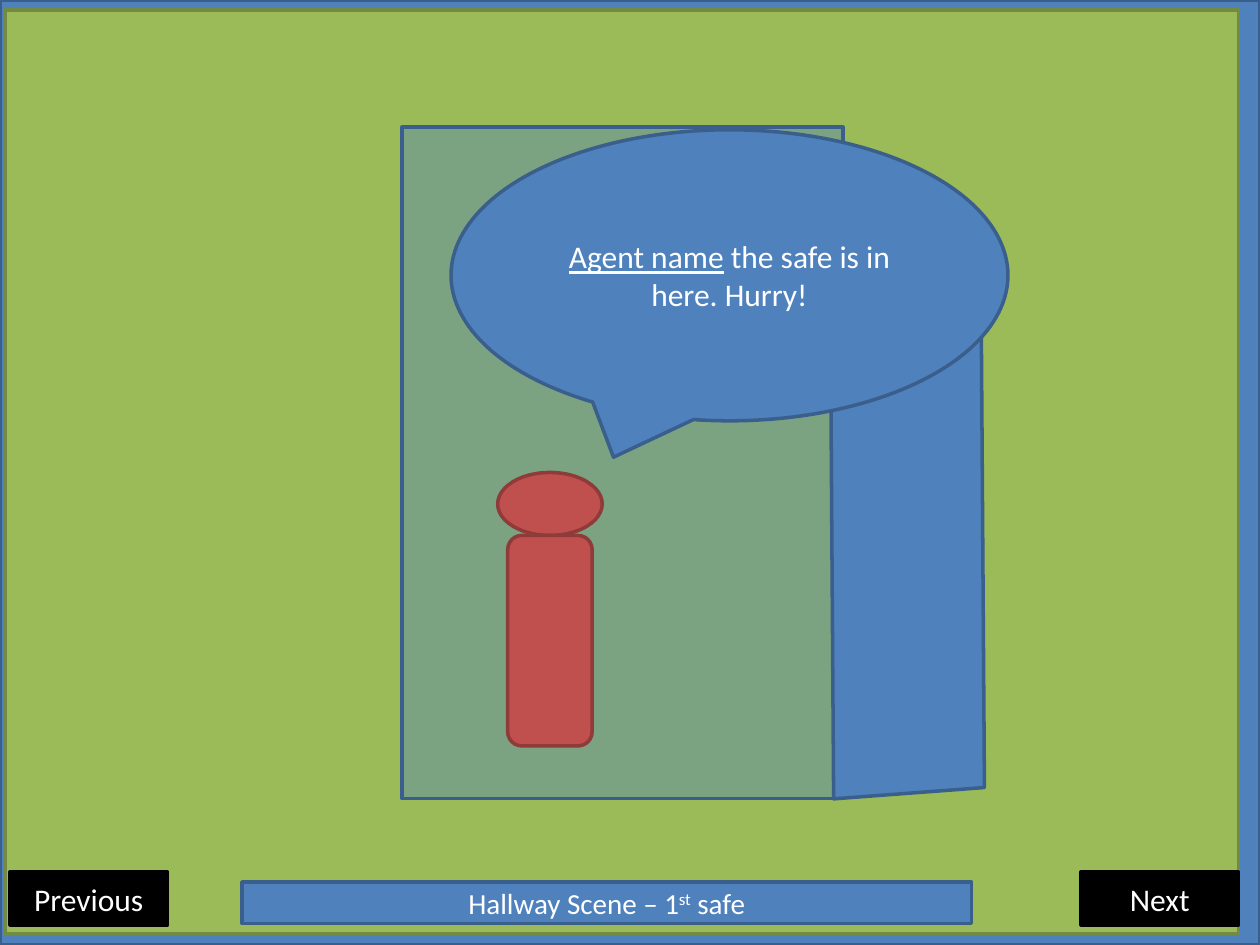
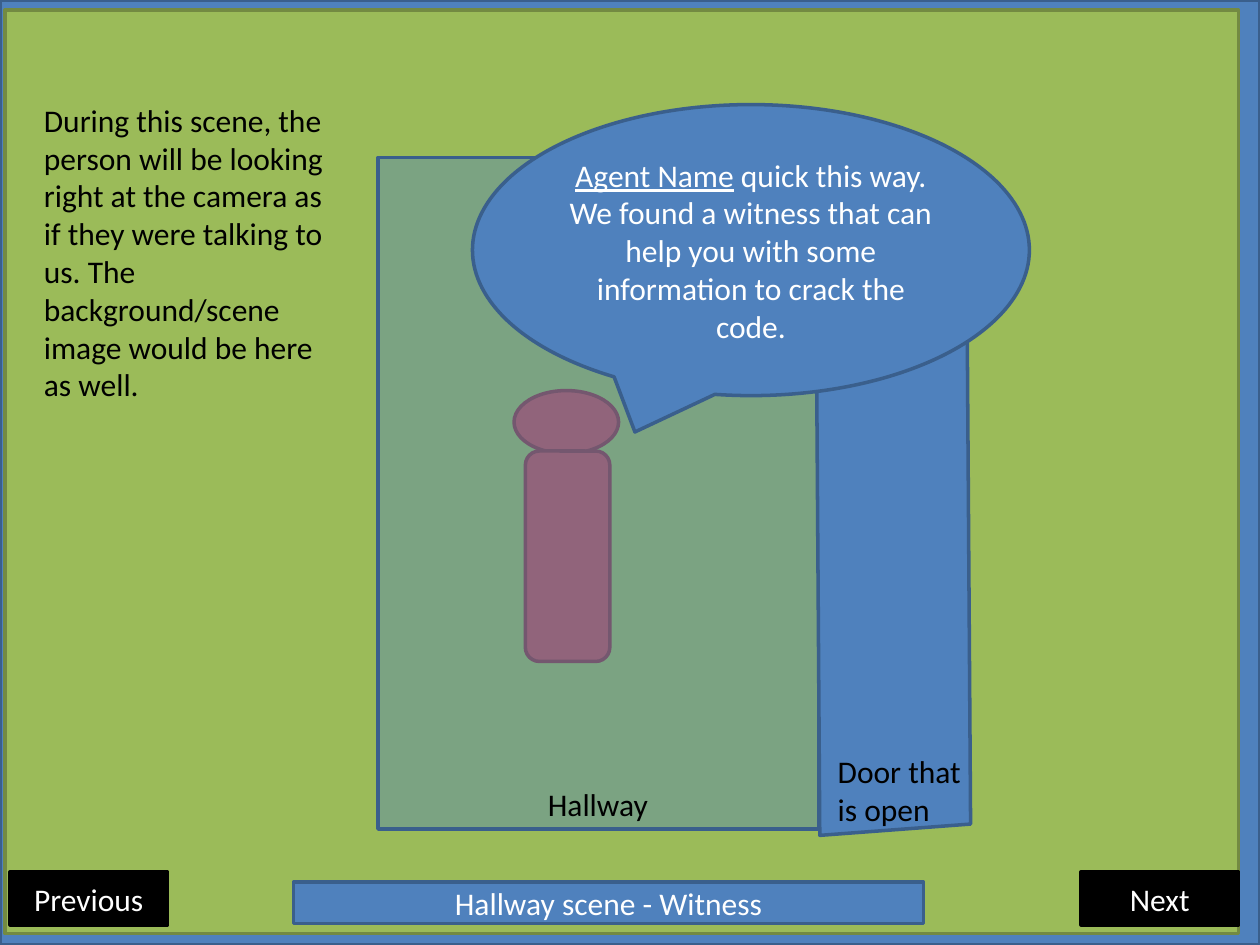
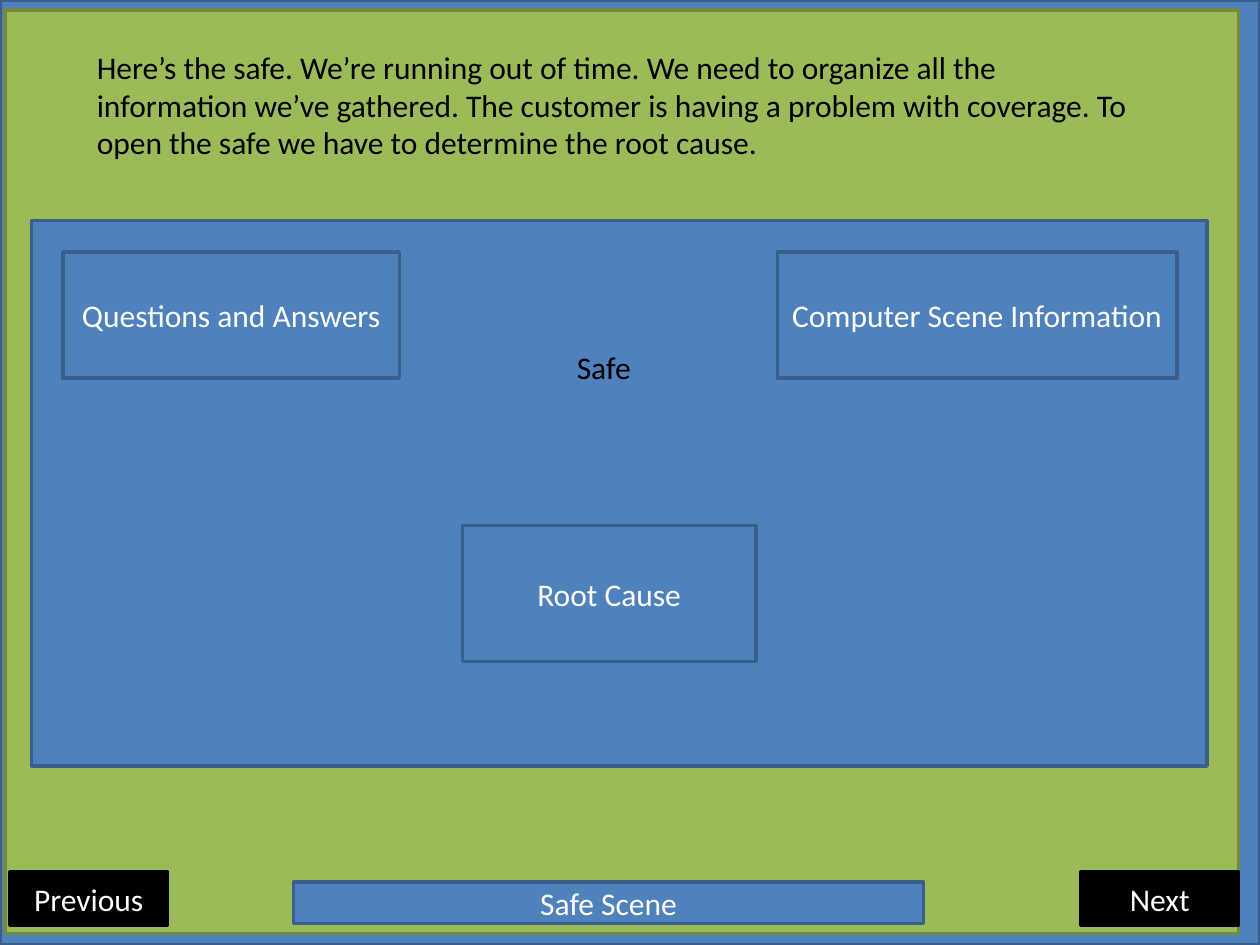
from dataclasses import dataclass

from lxml import etree
from pptx import Presentation
from pptx.dml.color import RGBColor
from pptx.enum.shapes import MSO_SHAPE
from pptx.enum.text import MSO_ANCHOR, MSO_AUTO_SIZE, PP_ALIGN
from pptx.oxml.ns import qn
from pptx.util import Inches, Pt


@dataclass(frozen=True)
class Theme:
    font: str = "Calibri"
    body: float = 18
    small: float = 16.6
    line: float = 2
    blue: tuple = ("4F81BD", "3A5F8C")  # fill, outline
    green: tuple = ("9BBB59", "738A42")
    red: tuple = ("C0504D", "8E3B39")
    black: tuple = ("000000", "000000")
    dark: str = "000000"
    light: str = "FFFFFF"
    glass: int = 41  # opacity of the hallway, percent


THEME = Theme()

# Content: each text is a list of (words, style) runs; parts run back to front
SCENES = [
    {
        "caption": [("Hallway Scene – 1", ""), ("st", "super"), (" safe", "")],
        "caption_at": (1.92, 7, 5.79, 0.33),
        "caption_size": THEME.small,
        "parts": [
            ("hallway", (3.19, 1.01), []),
            ("door", (6.45, 1.9), []),
            ("speech", (3.58, 1.03), [("Agent name", "underline"),
                                      (" the safe is in here. Hurry!", "")]),
            ("head", (3.95, 3.75), []),
            ("torso", (4.03, 4.25), []),
        ],
    },
    {
        "caption": [("Hallway scene - Witness", "")],
        "parts": [
            ("head", (4.08, 3.1), []),
            ("torso", (4.17, 3.58), []),
            ("note", (0.25, 0.75, 2.58, 2.52), [(
                "During this scene, the person will be looking right at the camera "
                "as if they were talking to us. The background/scene image would be "
                "here as well.", "")]),
            ("hallway", (3, 1.25), []),
            ("note", (4.25, 6.18, 1.17, 0.4), [("Hallway", "")]),
            ("door", (6.34, 2.19), []),
            ("note", (6.55, 5.92, 1.25, 0.71), [("Door that is open", "")]),
            ("speech", (3.75, 0.83), [
                ("Agent Name", "underline"),
                (" quick this way. We found a witness that can help you with some "
                 "information to crack the code.", "")]),
        ],
    },
    {
        "caption": [("Safe Scene", "")],
        "parts": [
            ("panel", (0.25, 1.75, 9.33, 4.33), []),
            ("note", (4.48, 2.71, 0.67, 0.4), [("Safe", "")]),
            ("note", (0.67, 0.33, 8.54, 1.01), [(
                "Here’s the safe. We’re running out of time. We need to organize all "
                "the information we’ve gathered. The customer is having a problem "
                "with coverage. To open the safe we have to determine the root "
                "cause.", "")]),
            ("panel", (3.67, 4.17, 2.33, 1.08), [("Root Cause", "")]),
            ("panel", (0.5, 2, 2.67, 1), [("Questions and Answers", "")]),
            ("panel", (6.17, 2, 3.17, 1), [("Computer Scene Information", "")]),
        ],
    },
]

CAPTION_AT = (2.33, 7, 5, 0.33)
BUTTONS = [("Previous", 0.08), ("Next", 8.58)]

# Kind of part: preset, colours, fixed size (None when the part gives its own)
KINDS = {
    "panel": (MSO_SHAPE.RECTANGLE, THEME.blue, None),
    "field": (MSO_SHAPE.RECTANGLE, THEME.green, None),
    "button": (MSO_SHAPE.RECTANGLE, THEME.black, (1.25, 0.42)),
    "hallway": (MSO_SHAPE.RECTANGLE, THEME.blue, (3.5, 5.33)),
    "door": (MSO_SHAPE.FLOWCHART_DATA, THEME.blue, (1.5, 4.39)),
    "speech": (MSO_SHAPE.OVAL_CALLOUT, THEME.blue, (4.42, 2.31)),
    "head": (MSO_SHAPE.OVAL, THEME.red, (0.83, 0.5)),
    "torso": (MSO_SHAPE.ROUNDED_RECTANGLE, THEME.red, (0.67, 1.67)),
}
DOOR_ROTATION = 355.7


def paint(sp, colours):
    fill, outline = colours
    sp.fill.solid()
    sp.fill.fore_color.rgb = RGBColor.from_string(fill)
    sp.line.color.rgb = RGBColor.from_string(outline)
    sp.line.width = Pt(THEME.line)


def write(sp, runs, colour, align, anchor, size=THEME.body):
    tf = sp.text_frame
    tf.word_wrap = True
    tf.auto_size = MSO_AUTO_SIZE.NONE
    tf.vertical_anchor = anchor
    p = tf.paragraphs[0]
    p.alignment = align
    p.font.name = THEME.font
    p.font.size = Pt(size)
    p.font.color.rgb = RGBColor.from_string(colour)
    for words, style in runs:
        r = p.add_run()
        r.text = words
        if style == "underline":
            r.font.underline = True
        elif style == "super":
            r._r.get_or_add_rPr().set("baseline", "30000")


def write_centred(sp, runs, size=THEME.body):
    write(sp, runs, THEME.light, PP_ALIGN.CENTER, MSO_ANCHOR.MIDDLE, size)


def add_part(s, kind, at, runs):
    if kind == "note":
        sp = s.shapes.add_textbox(*map(Inches, at))
        write(sp, runs, THEME.dark, PP_ALIGN.LEFT, MSO_ANCHOR.TOP)
        return sp
    preset, colours, size = KINDS[kind]
    sp = s.shapes.add_shape(preset, *map(Inches, at + (size or ())))
    sp.shadow.inherit = False
    paint(sp, colours)
    if kind == "door":
        sp.rotation = DOOR_ROTATION
    if kind == "hallway":
        colour = sp.element.spPr.find(qn("a:solidFill"))[0]
        etree.SubElement(colour, qn("a:alpha")).set("val", str(THEME.glass * 1000))
    if runs:
        write_centred(sp, runs)
    return sp


def add_scene(prs, scene):
    s = prs.slides.add_slide(prs.slide_layouts[5])
    # Frame and field
    add_part(s, "panel", (0, 0, 10, 7.5), [])
    field = add_part(s, "field", (0.04, 0.08, 9.79, 7.33), [])
    # Caption band: the title, brought in front of the field
    title = s.shapes.title
    field.element.addnext(title.element)
    at = scene.get("caption_at", CAPTION_AT)
    title.left, title.top, title.width, title.height = map(Inches, at)
    paint(title, THEME.blue)
    write_centred(title, scene["caption"], scene.get("caption_size", THEME.body))
    # Navigation
    for label, left in BUTTONS:
        add_part(s, "button", (left, 6.92), [(label, "")])
    # Scene
    for part in scene["parts"]:
        add_part(s, *part)


def main():
    prs = Presentation()
    prs.slide_width, prs.slide_height = Inches(10), Inches(7.5)
    for scene in SCENES:
        add_scene(prs, scene)
    prs.save("out.pptx")


if __name__ == "__main__":
    main()
